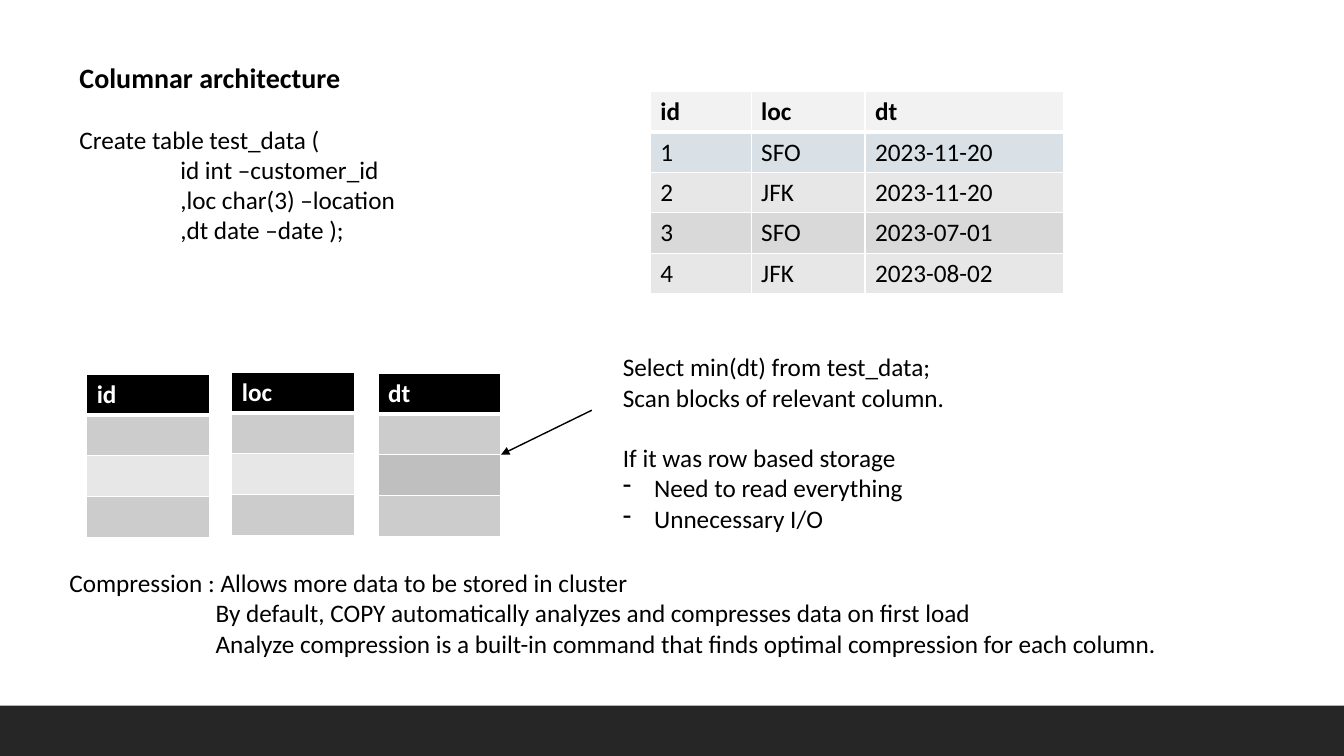
from pptx import Presentation
from pptx.dml.color import RGBColor
from pptx.enum.shapes import MSO_CONNECTOR, MSO_SHAPE
from pptx.oxml.xmlchemy import OxmlElement
from pptx.util import Inches, Pt

FONT = "Calibri"
BLACK, WHITE = "000000", "FFFFFF"
DARK_BAND, LIGHT_BAND = "CCCCCC", "E7E7E7"


def color(value):
    return RGBColor.from_string(value)


def add_element(parent, tag, **attributes):
    element = OxmlElement(tag)
    for name, value in attributes.items():
        element.set(name, str(value))
    parent.append(element)
    return element


def set_font(paragraph, size=18, bold=False, fill=BLACK):
    font = paragraph.font
    font.name, font.size, font.bold = FONT, Pt(size), bold
    font.color.rgb = color(fill)


def add_line(paragraph, text, indent=0, hanging=0, bullet=None, space=0, **style):
    paragraph.text = text
    properties = paragraph._p.get_or_add_pPr()
    if indent:
        properties.set("marL", str(Inches(indent)))
        properties.set("indent", str(Inches(-hanging)))
    if space:
        paragraph.space_before = Pt(space)
    if bullet:
        add_element(properties, "a:buFontTx")
        add_element(properties, "a:buChar", char=bullet)
    set_font(paragraph, **style)


def add_text(slide, left, top, width, height, lines):
    box = slide.shapes.add_textbox(Inches(left), Inches(top), Inches(width), Inches(height))
    frame = box.text_frame
    frame.word_wrap = True
    for index, (text, options) in enumerate(lines):
        paragraph = frame.add_paragraph() if index else frame.paragraphs[0]
        add_line(paragraph, text, **options)


def add_borders(cell, row):
    widths = {"L": 1, "R": 1, "T": 3 if row == 1 else 1, "B": 3 if row == 0 else 1}
    properties = cell._tc.get_or_add_tcPr()
    for side, width in widths.items():
        line = add_element(properties, f"a:ln{side}", w=Pt(width))
        add_element(add_element(line, "a:solidFill"), "a:srgbClr", val=WHITE)


def add_table(slide, left, top, widths, row_height, rows, fills, header_color):
    frame = slide.shapes.add_table(
        len(rows), len(widths), Inches(left), Inches(top),
        Inches(sum(widths)), Inches(row_height * len(rows)))
    table = frame.table
    table.horz_banding = False
    for column, width in zip(table.columns, widths):
        column.width = Inches(width)
    for row, (values, fill) in enumerate(zip(rows, fills)):
        table.rows[row].height = Inches(row_height)
        for column, value in enumerate(values):
            cell = table.cell(row, column)
            add_borders(cell, row)
            cell.fill.solid()
            cell.fill.fore_color.rgb = color(fill)
            cell.text = value
            set_font(cell.text_frame.paragraphs[0], bold=row == 0,
                     fill=BLACK if row else header_color)


def add_arrow(slide, start, end):
    arrow = slide.shapes.add_connector(
        MSO_CONNECTOR.STRAIGHT, *(Inches(value) for value in start + end))
    arrow.line.color.rgb = color(BLACK)
    arrow.line.width = Pt(1)
    add_element(arrow.line._get_or_add_ln(), "a:tailEnd", type="triangle")
    add_element(arrow._element.spPr, "a:effectLst")


def add_bar(slide, left, top, width, height, fill):
    bar = slide.shapes.add_shape(
        MSO_SHAPE.RECTANGLE, Inches(left), Inches(top), Inches(width), Inches(height))
    bar.shadow.inherit = False
    bar.fill.solid()
    bar.fill.fore_color.rgb = color(fill)
    bar.line.fill.background()


def main():
    presentation = Presentation()
    presentation.slide_width, presentation.slide_height = Inches(13.33), Inches(7.5)
    slide = presentation.slides.add_slide(presentation.slide_layouts[6])

    add_bar(slide, 0, 7, 13.33, 0.5, "262626")
    add_text(slide, 0.69, 0.55, 11.57, 0.44,
             [("Columnar architecture", {"size": 20, "bold": True})])

    code = {"indent": 1}
    add_text(slide, 0.69, 1.18, 4.06, 1.31, [
        ("Create table test_data (", {}),
        ("id int –customer_id", code),
        (",loc char(3) –location", code),
        (",dt date –date );", code),
    ])

    headers = ("id", "loc", "dt")
    records = [
        headers,
        ("1", "SFO", "2023-11-20"),
        ("2", "JFK", "2023-11-20"),
        ("3", "SFO", "2023-07-01"),
        ("4", "JFK", "2023-08-02"),
    ]
    add_table(slide, 6.45, 0.91, (1, 1.13, 1.97), 0.4, records,
              ("F2F2F2", "D9E0E6", LIGHT_BAND, "D9D9D9", LIGHT_BAND), BLACK)

    blocks = zip(headers, (0.86, 2.3, 3.75), (3.71, 3.69, 3.7),
                 (LIGHT_BAND, LIGHT_BAND, "BFBFBF"))
    for header, left, top, middle in blocks:
        add_table(slide, left, top, (1.22,), 1.62 / 4, [(header,), ("",), ("",), ("",)],
                  (BLACK, DARK_BAND, middle, DARK_BAND), WHITE)

    bullet = {"indent": 0.31, "hanging": 0.31, "bullet": "-"}
    add_text(slide, 6.08, 3.44, 4.47, 1.92, [
        ("Select min(dt) from test_data;", {}),
        ("Scan blocks of relevant column.", {}),
        ("If it was row based storage", {"space": 21.6}),
        ("Need to read everything", bullet),
        ("Unnecessary I/O", bullet),
    ])
    add_arrow(slide, (5.87, 4.07), (4.97, 4.51))

    detail = {"indent": 1.45}
    add_text(slide, 0.59, 5.58, 12.21, 1.01, [
        ("Compression : Allows more data to be stored in cluster", {}),
        ("By default, COPY automatically analyzes and compresses data on first load", detail),
        ("Analyze compression is a built-in command that finds optimal compression "
         "for each column.", detail),
    ])
    presentation.save("out.pptx")


if __name__ == "__main__":
    main()
